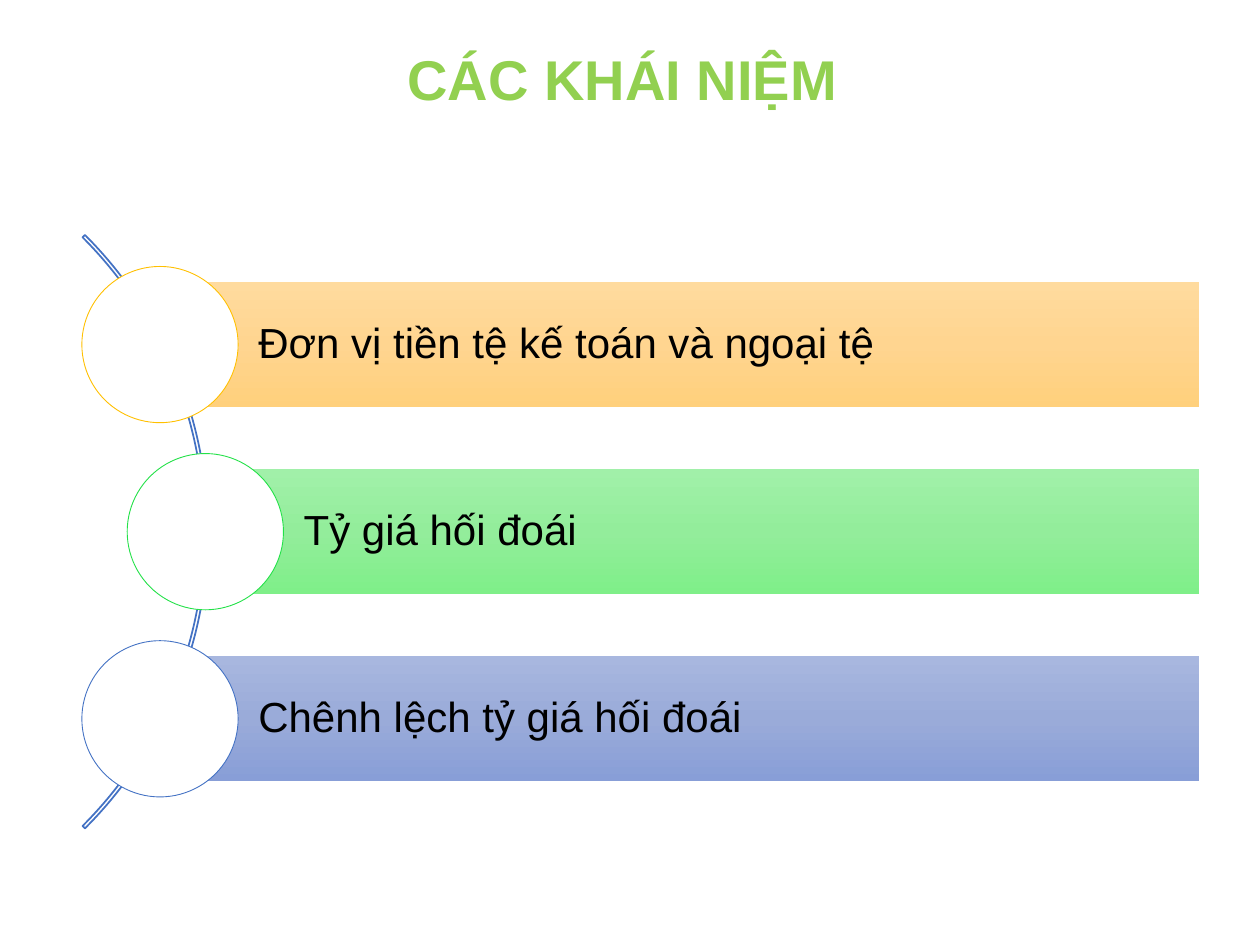
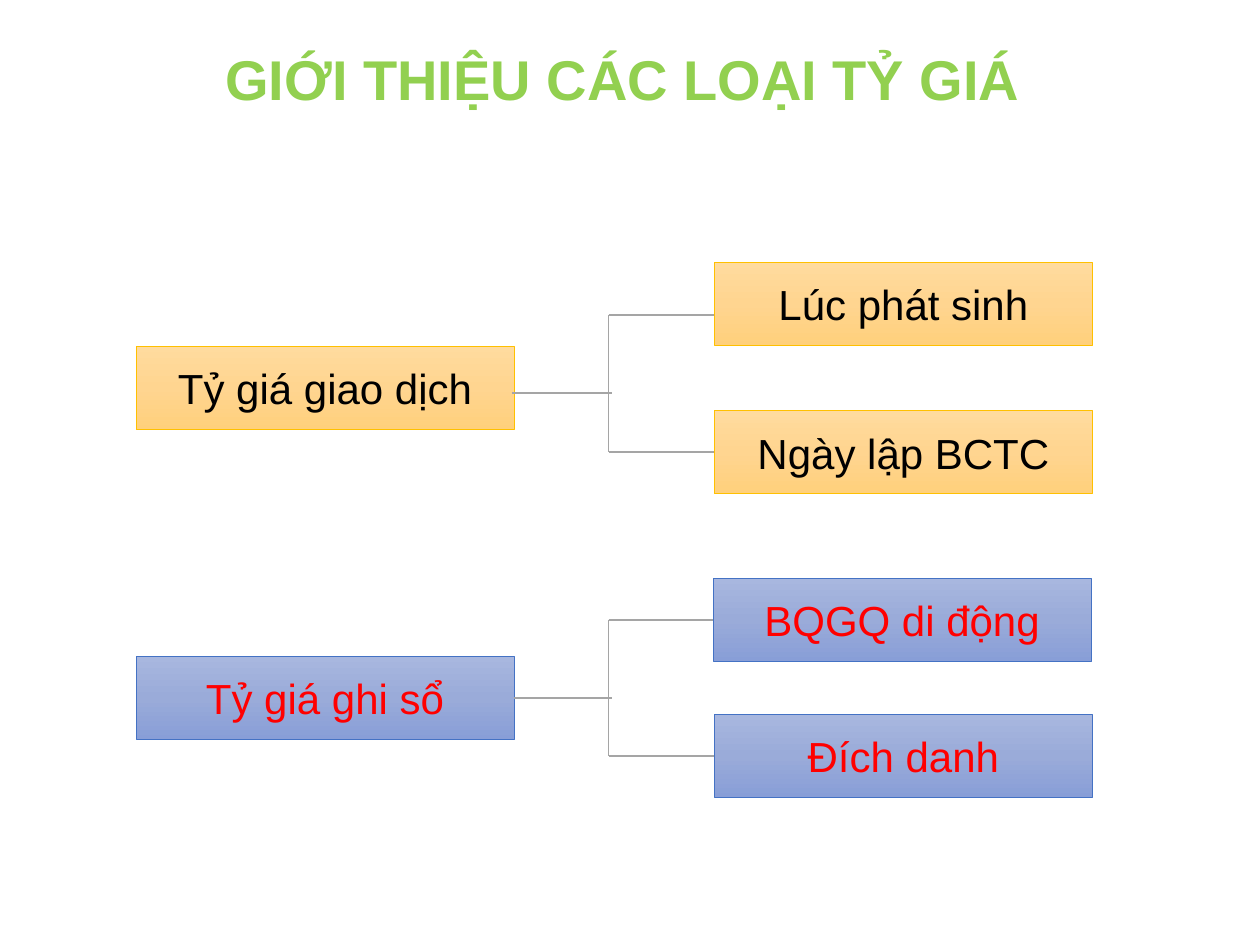
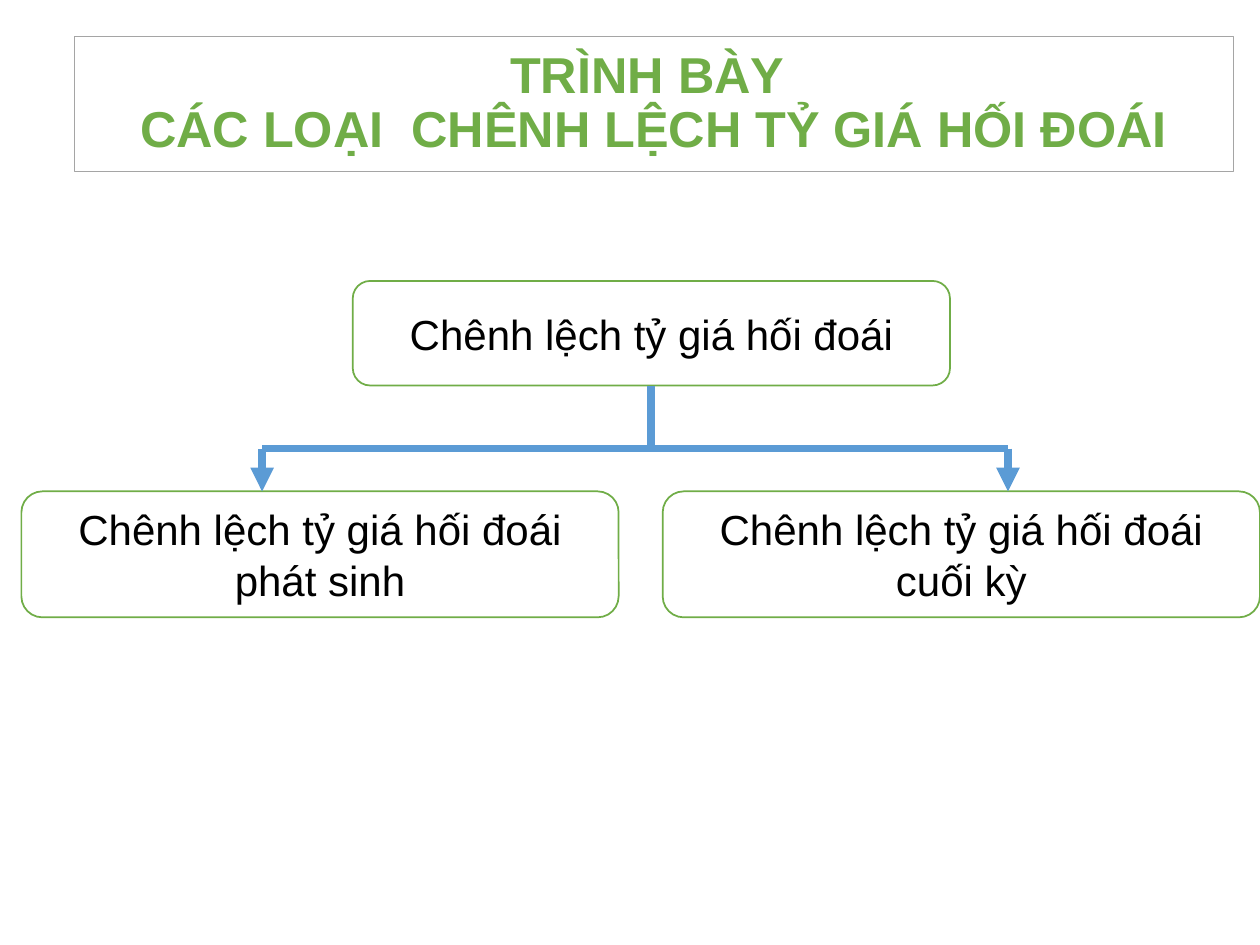
from copy import deepcopy
from dataclasses import dataclass
from typing import Optional

from lxml import etree
from pptx import Presentation
from pptx.dml.color import RGBColor
from pptx.enum import shapes, text
from pptx.oxml.ns import qn
from pptx.util import Inches, Pt

FONT = "Arial"
BLACK, WHITE, RED = "000000", "FFFFFF", "FF0000"
LIME, GREEN, GRAY, BLUE, SKY = "92D050", "70AD47", "A5A5A5", "4472C4", "5B9BD5"
BODY_SIZE = 24
TOP, LEFT, BOTTOM, RIGHT = range(4)


@dataclass(frozen=True)
class Palette:
    stops: tuple[str, ...]
    line: str
    text: str = BLACK


ORANGE_BOX = Palette(("FFDB9E", "FFD590", "FFD07C"), "FFC000")
GREEN_BOX = Palette(("A1F0A9", "93ED9B", "7FEF89"), "23E148")
BLUE_BOX = Palette(("A8B7DF", "9AABD9", "889ED7"), BLUE)
BLUE_RED_BOX = Palette(BLUE_BOX.stops, BLUE, RED)
OUTLINE_BOX = Palette((WHITE,), GREEN)


@dataclass(frozen=True)
class Box:
    label: str
    left: float
    top: float
    width: float
    height: float
    palette: Palette
    line_width: float = 0.5
    kind: int = shapes.MSO_SHAPE.RECTANGLE


@dataclass(frozen=True)
class Link:
    start: tuple[float, float]
    end: tuple[float, float]
    begin_box: Optional[str] = None
    begin_side: int = RIGHT
    end_box: Optional[str] = None
    end_side: int = LEFT
    arrow: bool = False


def rgb(value: str) -> RGBColor:
    return RGBColor.from_string(value)


def place(shape, left: float, top: float, width: float, height: float) -> None:
    shape.left, shape.top = Inches(left), Inches(top)
    shape.width, shape.height = Inches(width), Inches(height)


def paint(shape, stops: tuple[str, ...], line: Optional[str], width: float) -> None:
    shape.shadow.inherit = False
    if len(stops) == 1:
        shape.fill.solid()
        shape.fill.fore_color.rgb = rgb(stops[0])
    elif stops:
        shape.fill.gradient()
        shape.fill.gradient_angle = 270
        stop_list = shape._element.spPr.find(qn("a:gradFill")).find(qn("a:gsLst"))
        stop_list.insert(1, deepcopy(stop_list[0]))
        for index, (stop, color) in enumerate(zip(shape.fill.gradient_stops, stops)):
            stop.position = index / 2
            stop.color.rgb = rgb(color)
    else:
        shape.fill.background()
    if line:
        shape.line.color.rgb = rgb(line)
        shape.line.width = Pt(width)
    else:
        shape.line.fill.background()


def add_run(paragraph, content: str, size: float, color: str, bold: bool = False):
    run = paragraph.add_run()
    run.text = content
    run.font.name = FONT
    run.font.size = Pt(size)
    run.font.bold = bold
    run.font.color.rgb = rgb(color)
    return run


def add_title_slide(presentation, lines: tuple[str, ...], frame: tuple[float, ...],
                    size: float = 32, color: str = LIME, spacing: float = 1.0):
    slide = presentation.slides.add_slide(presentation.slide_layouts[5])
    title = slide.shapes.title
    place(title, *frame)
    title.text_frame.auto_size = text.MSO_AUTO_SIZE.NONE
    title.text_frame.word_wrap = len(lines) > 1
    title.text_frame.vertical_anchor = text.MSO_ANCHOR.MIDDLE
    paragraph = title.text_frame.paragraphs[0]
    paragraph.alignment = text.PP_ALIGN.CENTER
    paragraph.line_spacing = spacing
    for index, line in enumerate(lines):
        if index:
            paragraph.add_line_break()
        run = add_run(paragraph, line, size, color, True)
    for line_break in paragraph._p.findall(qn("a:br")):
        line_break.append(deepcopy(run._r.rPr))
    return slide


def add_box(slide, box: Box):
    shape = slide.shapes.add_shape(box.kind, 0, 0, 0, 0)
    place(shape, box.left, box.top, box.width, box.height)
    paint(shape, box.palette.stops, box.palette.line, box.line_width)
    shape.text_frame.word_wrap = True
    shape.text_frame.vertical_anchor = text.MSO_ANCHOR.MIDDLE
    paragraph = shape.text_frame.paragraphs[0]
    paragraph.alignment = text.PP_ALIGN.CENTER
    add_run(paragraph, box.label, BODY_SIZE, box.palette.text)
    return shape


def add_link(slide, link: Link, boxes: dict, color: str, width: float) -> None:
    connector = slide.shapes.add_connector(
        shapes.MSO_CONNECTOR.STRAIGHT,
        *(Inches(value) for value in link.start + link.end))
    if link.begin_box:
        connector.begin_connect(boxes[link.begin_box], link.begin_side)
    if link.end_box:
        connector.end_connect(boxes[link.end_box], link.end_side)
    connector.line.color.rgb = rgb(color)
    connector.line.width = Pt(width)
    properties = connector._element.spPr
    if link.arrow:
        etree.SubElement(properties.find(qn("a:ln")), qn("a:tailEnd"), type="triangle")
    etree.SubElement(properties, qn("a:effectLst"))


def add_diagram(slide, boxes: list[Box], links: list[Link], color: str, width: float) -> None:
    drawn = {box.label: add_box(slide, box) for box in boxes}
    for link in links:
        add_link(slide, link, drawn, color, width)


def build_concepts(presentation) -> None:
    slide = add_title_slide(presentation, ("CÁC KHÁI NIỆM",), (3.12, 0.3, 3.64, 0.64))
    arc = slide.shapes.add_shape(shapes.MSO_SHAPE.BLOCK_ARC, 0, 0, 0, 0)
    place(arc, -5.01, 0.89, 6.66, 6.66)
    for index, value in enumerate((189, 27, 0.004)):
        arc.adjustments[index] = value
    paint(arc, (), BLUE, 1)

    concepts = (
        ("Đơn vị tiền tệ kế toán và ngoại tệ", 0.65, ORANGE_BOX),
        ("Tỷ giá hối đoái", 1.01, GREEN_BOX),
        ("Chênh lệch tỷ giá hối đoái", 0.65, BLUE_BOX),
    )
    diameter, bar_height, right_edge = 1.24, 0.99, 9.52
    first_top, last_top = 2.24, 5.21
    step = (last_top - first_top) / (len(concepts) - 1)
    for index, (label, circle_left, palette) in enumerate(concepts):
        bar_left = circle_left + diameter / 2
        bar_top = first_top + index * step
        bar = add_box(slide, Box(label, bar_left, bar_top, right_edge - bar_left,
                                 bar_height, Palette(palette.stops, "")))
        frame = bar.text_frame
        frame.margin_left = Inches(0.78)
        frame.margin_top = frame.margin_right = frame.margin_bottom = Inches(0.07)
        frame.paragraphs[0].alignment = text.PP_ALIGN.LEFT
        frame.paragraphs[0].line_spacing = 0.9
        circle = slide.shapes.add_shape(shapes.MSO_SHAPE.OVAL, 0, 0, 0, 0)
        place(circle, circle_left, bar_top - (diameter - bar_height) / 2, diameter, diameter)
        paint(circle, (WHITE,), palette.line, 0.5)


def build_rate_types(presentation) -> None:
    slide = add_title_slide(presentation, ("GIỚI THIỆU CÁC LOẠI TỶ GIÁ",),
                            (1.66, 0.3, 6.57, 0.64))
    transaction, arising, reporting = "Tỷ giá giao dịch", "Lúc phát sinh", "Ngày lập BCTC"
    book, moving, specific = "Tỷ giá ghi sổ", "BQGQ di động", "Đích danh"
    boxes = [
        Box(label, left, top, 3, 0.66, palette)
        for label, left, top, palette in (
            (transaction, 1.08, 2.75, ORANGE_BOX),
            (reporting, 5.67, 3.26, ORANGE_BOX),
            (arising, 5.67, 2.08, ORANGE_BOX),
            (book, 1.08, 5.21, BLUE_RED_BOX),
            (specific, 5.67, 5.67, BLUE_RED_BOX),
            (moving, 5.66, 4.59, BLUE_RED_BOX),
        )
    ]
    spine, branch_end, stem_start, stem_end = 4.83, 5.67, 4.06, 4.86
    links = []
    for upper, stem, lower, root, upper_box, lower_box in (
        (2.5, 3.12, 3.59, None, None, reporting),
        (4.92, 5.54, 6, book, moving, specific),
    ):
        links += [
            Link((spine, upper), (spine, lower)),
            Link((spine, upper), (branch_end, upper), end_box=upper_box),
            Link((spine, lower), (branch_end, lower), end_box=lower_box),
            Link((stem_start, stem), (stem_end, stem), begin_box=root),
        ]
    add_diagram(slide, boxes, links, GRAY, 1)


def build_differences(presentation) -> None:
    slide = add_title_slide(
        presentation, ("TRÌNH BÀY ", "CÁC LOẠI  CHÊNH LỆCH TỶ GIÁ HỐI ĐOÁI"),
        (0.59, 0.29, 9.2, 1.07), 28.8, GREEN, 0.9)
    title = slide.shapes.title
    title.fill.solid()
    title.fill.fore_color.rgb = rgb(WHITE)
    title.line.color.rgb = rgb(GRAY)
    title.line.width = Pt(0.5)

    parent = "Chênh lệch tỷ giá hối đoái"
    boxes = [
        Box(label, left, top, 4.74, height, OUTLINE_BOX, 1,
            shapes.MSO_SHAPE.ROUNDED_RECTANGLE)
        for label, left, top, height in (
            (f"{parent} phát sinh", 0.17, 3.9, 1),
            (f"{parent} cuối kỳ", 5.26, 3.9, 1),
            (parent, 2.8, 2.23, 0.83),
        )
    ]
    bar, bar_left, bar_right, child_top = 3.56, 2.08, 8, 3.9
    links = [
        Link((5.17, 3.06), (5.17, bar), begin_box=parent, begin_side=BOTTOM),
        Link((bar_left, bar), (bar_right, bar)),
    ]
    links += [Link((x, bar), (x, child_top), arrow=True) for x in (bar_right, bar_left)]
    add_diagram(slide, boxes, links, SKY, 4.5)


def main() -> None:
    presentation = Presentation()
    presentation.slide_width, presentation.slide_height = Inches(10), Inches(7.5)
    build_concepts(presentation)
    build_rate_types(presentation)
    build_differences(presentation)
    presentation.save("out.pptx")


if __name__ == "__main__":
    main()
